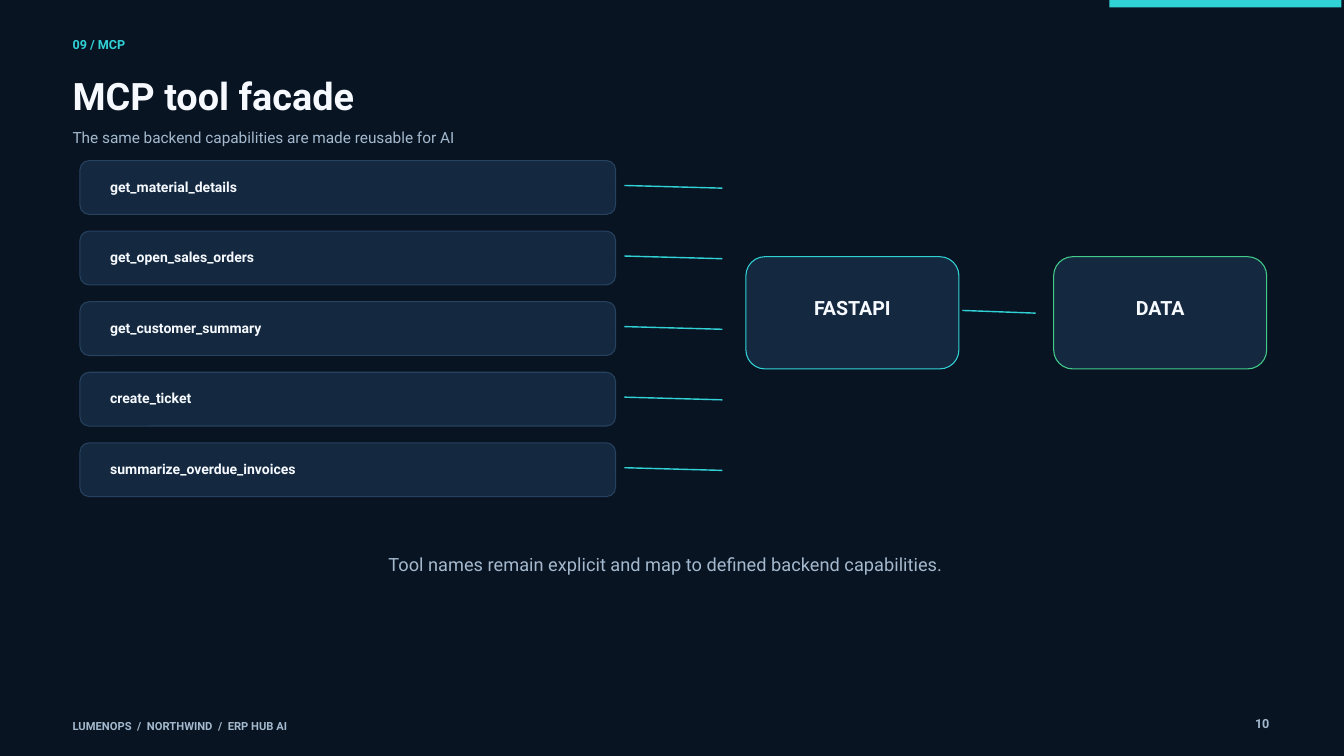
from lxml.etree import SubElement
from pptx import Presentation
from pptx.dml.color import RGBColor
from pptx.enum.shapes import MSO_CONNECTOR, MSO_SHAPE
from pptx.enum.text import MSO_ANCHOR, MSO_AUTO_SIZE, PP_ALIGN
from pptx.oxml.ns import qn
from pptx.util import Inches, Pt

NIGHT = "091423"
PANEL = "14283F"
EDGE = "26425E"
CYAN = "30D2D6"
GREEN = "41CD89"
WHITE = "F6FAFF"
MUTED = "A4B9CD"

TOOLS = [
    "get_material_details",
    "get_open_sales_orders",
    "get_customer_summary",
    "create_ticket",
    "summarize_overdue_invoices",
]
TOOL_TOP = 2.39
TOOL_STEP = 1.05
LINE_DROP = 0.04


def color(value):
    return RGBColor.from_string(value)


def set_values(target, values):
    for name, value in values.items():
        setattr(target, name, value)


def place(shape, left, top, width, height):
    values = {"left": left, "top": top, "width": width, "height": height}
    set_values(shape, {name: Inches(value) for name, value in values.items()})


def write(shape, text, size, ink, bold=False, align=PP_ALIGN.LEFT,
          anchor=MSO_ANCHOR.TOP, margins=(0, 0, 0, 0)):
    frame = shape.text_frame
    sides = ("margin_left", "margin_top", "margin_right", "margin_bottom")
    set_values(frame, {
        "word_wrap": True,
        "auto_size": MSO_AUTO_SIZE.NONE,
        "vertical_anchor": anchor,
    })
    set_values(frame, {side: Inches(value) for side, value in zip(sides, margins)})
    para = frame.paragraphs[0]
    set_values(para, {"alignment": align, "line_spacing": Pt(size * 1.2)})
    span = para.add_run()
    span.text = text
    set_values(span.font, {"name": "Roboto", "size": Pt(size), "bold": bold})
    span.font.color.rgb = color(ink)


def add_label(page, area, text, size, ink, **style):
    box = page.shapes.add_textbox(*map(Inches, area))
    write(box, text, size, ink, **style)


def add_title(page, text):
    title = page.shapes.title
    place(title, 1.08, 1.08, 17.66, 0.72)
    write(title, text, 40.5, WHITE, bold=True)


def add_subtitle(page, text):
    body = page.placeholders[1]
    place(body, 1.08, 1.91, 17.36, 0.43)
    para = body.text_frame.paragraphs[0]
    properties = para._p.get_or_add_pPr()
    properties.set("marL", "0")
    properties.set("indent", "0")
    SubElement(properties, qn("a:buNone"))
    para.space_before = Pt(0)
    write(body, text, 16.5, MUTED)


def add_bar(page):
    bar = page.shapes.add_shape(
        MSO_SHAPE.RECTANGLE, *map(Inches, (16.51, 0, 3.45, 0.11)))
    bar.shadow.inherit = False
    bar.fill.solid()
    bar.fill.fore_color.rgb = color(CYAN)
    bar.line.fill.background()


def add_card(page, area, edge, text, size, **style):
    card = page.shapes.add_shape(MSO_SHAPE.ROUNDED_RECTANGLE, *map(Inches, area))
    card.adjustments[0] = 0.17
    card.shadow.inherit = False
    card.fill.solid()
    card.fill.fore_color.rgb = color(PANEL)
    card.line.color.rgb = color(edge)
    card.line.width = Pt(1.13)
    write(card, text, size, WHITE, bold=True, anchor=MSO_ANCHOR.MIDDLE, **style)


def add_link(page, start, end, top):
    link = page.shapes.add_connector(
        MSO_CONNECTOR.STRAIGHT, Inches(start), Inches(top),
        Inches(end), Inches(top + LINE_DROP))
    link.line.color.rgb = color(CYAN)
    link.line.width = Pt(1.5)
    SubElement(link._element.spPr, qn("a:effectLst"))


def add_tools(page):
    for index, name in enumerate(TOOLS):
        top = TOOL_TOP + index * TOOL_STEP
        add_card(page, (1.19, top, 7.97, 0.8), EDGE, name, 15,
                 margins=(0.41, 0, 0.4, 0.03))
        add_link(page, 9.29, 10.75, top + 0.37)


def add_services(page):
    for left, name, edge in ((11.1, "FASTAPI", CYAN), (15.68, "DATA", GREEN)):
        add_card(page, (left, 3.82, 3.17, 1.67), edge, name, 21,
                 align=PP_ALIGN.CENTER, margins=(0.11, 0, 0.11, 0.14))
    add_link(page, 14.32, 15.41, 4.62)


def main():
    deck = Presentation()
    set_values(deck, {"slide_width": Inches(20), "slide_height": Inches(11.25)})
    page = deck.slides.add_slide(deck.slide_layouts[1])
    page.background.fill.solid()
    page.background.fill.fore_color.rgb = color(NIGHT)

    add_bar(page)
    add_label(page, (1.08, 0.55, 7.31, 0.29), "09 / MCP", 13.5, CYAN, bold=True)
    add_title(page, "MCP tool facade")
    add_subtitle(page, "The same backend capabilities are made reusable for AI")
    add_tools(page)
    add_services(page)
    add_label(page, (2.5, 8.23, 14.81, 0.5),
              "Tool names remain explicit and map to defined backend capabilities.",
              19.5, MUTED, align=PP_ALIGN.CENTER)
    add_label(page, (1.08, 10.71, 8.51, 0.2),
              "LUMENOPS  /  NORTHWIND  /  ERP HUB AI", 12, MUTED, bold=True)
    add_label(page, (18.11, 10.65, 0.78, 0.26), "10", 13.5, MUTED,
              bold=True, align=PP_ALIGN.RIGHT)
    deck.save("out.pptx")


if __name__ == "__main__":
    main()
